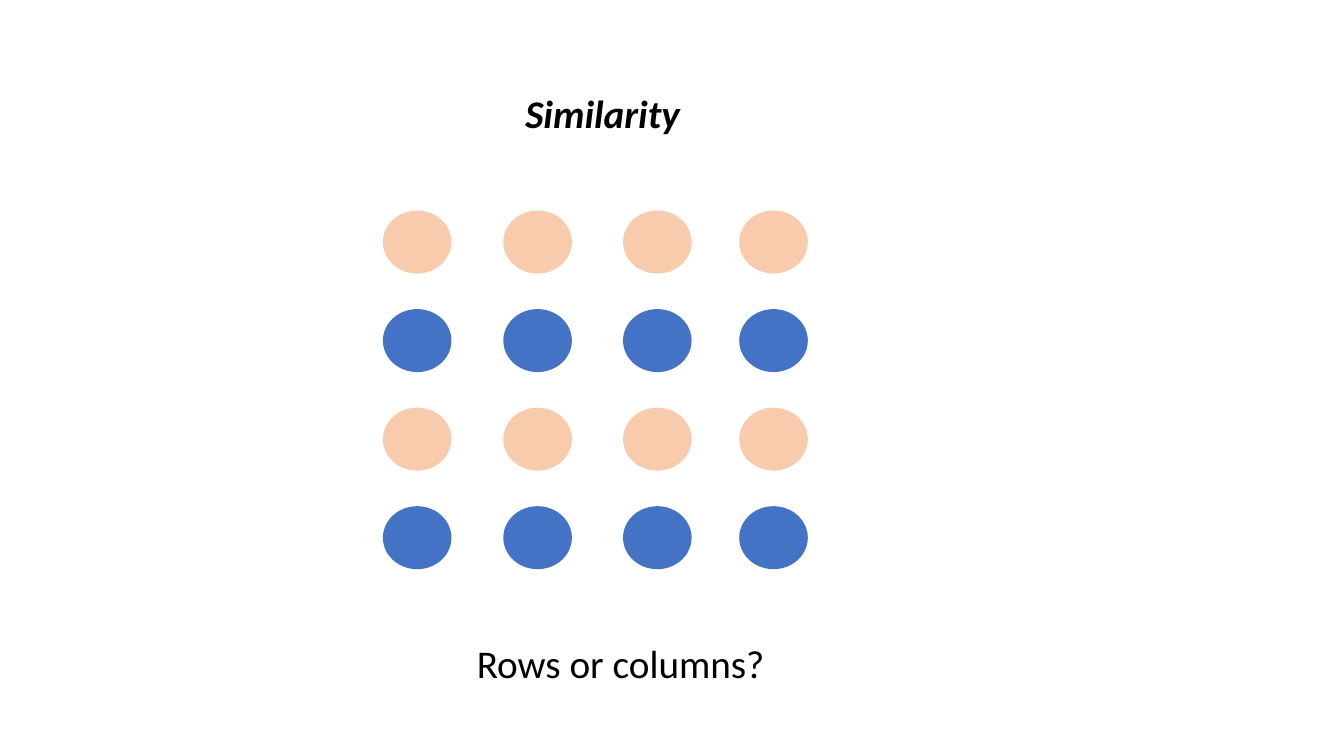
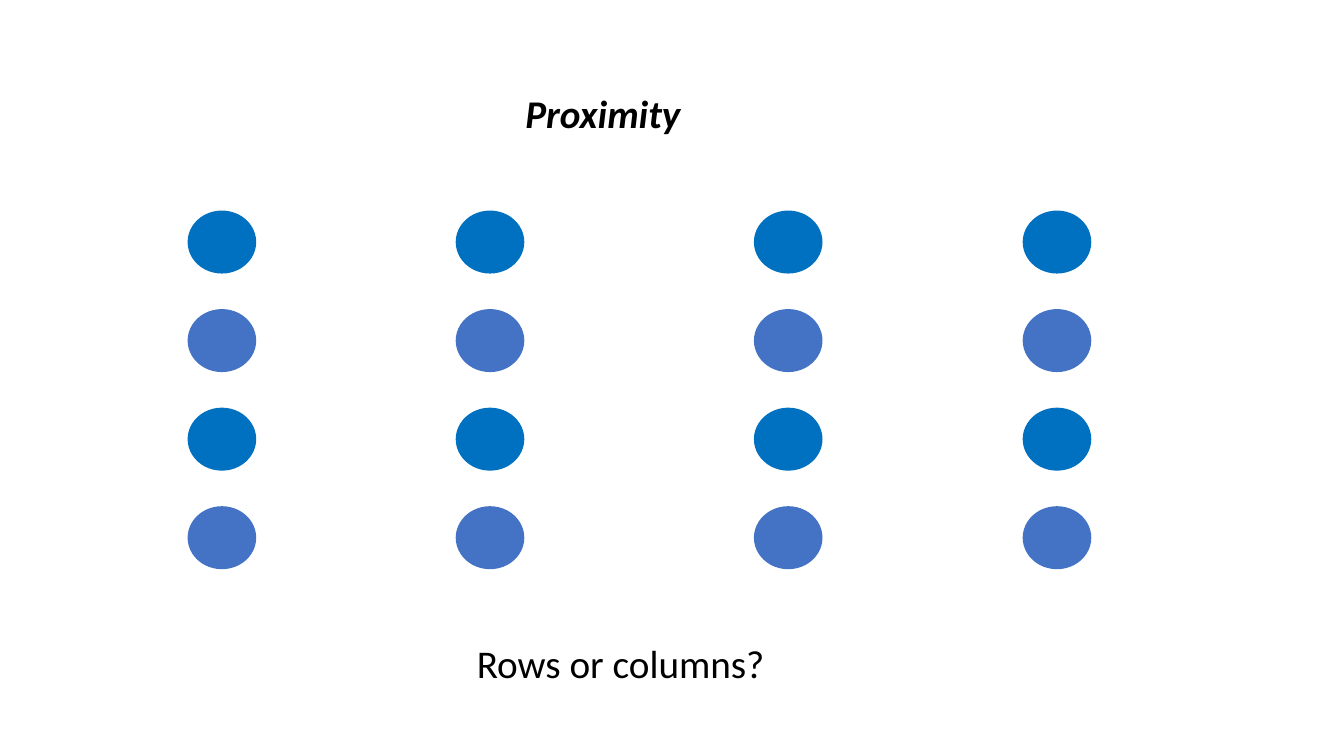
from pptx import Presentation
from pptx.dml.color import RGBColor as Rgb
from pptx.enum.shapes import MSO_SHAPE as Shape
from pptx.enum.text import MSO_ANCHOR as Anchor, MSO_AUTO_SIZE as Fit, PP_ALIGN as Align
from pptx.util import Pt

COLORS = {"ink": "000000", "peach": "F8CBAD", "blue": "4472C4", "azure": "0070C0"}


class Deck:
    font = "Calibri"
    size = 28
    dot_w, dot_h = 49, 45
    top, step, rows = 150.4, 70.4, 4

    def __init__(self):
        self.prs = Presentation()
        self.prs.slide_width, self.prs.slide_height = Pt(960), Pt(540)
        self.slide = None

    def add(self):
        self.slide = self.prs.slides.add_slide(self.prs.slide_layouts[5])

    def label(self, box, text, strong=False):
        frame = box.text_frame
        frame.word_wrap = False
        frame.auto_size = Fit.SHAPE_TO_FIT_TEXT
        frame.vertical_anchor = Anchor.TOP
        para = frame.paragraphs[0]
        para.alignment = Align.LEFT
        run = para.add_run()
        run.text = text
        font = run.font
        font.name, font.size = self.font, Pt(self.size)
        font.bold = font.italic = strong
        font.color.rgb = Rgb.from_string(COLORS["ink"])

    def title(self, text):
        box = self.slide.shapes.title
        box.left, box.top, box.width, box.height = Pt(368), Pt(60), Pt(126), Pt(41)
        self.label(box, text, strong=True)

    def caption(self, text):
        box = self.slide.shapes.add_textbox(Pt(333.5), Pt(453), Pt(222.5), Pt(41))
        self.label(box, text)

    def dot(self, left, top, color):
        dot = self.slide.shapes.add_shape(
            Shape.OVAL, Pt(left), Pt(top), Pt(self.dot_w), Pt(self.dot_h))
        dot.shadow.inherit = False
        dot.fill.solid()
        dot.fill.fore_color.rgb = Rgb.from_string(COLORS[color])
        dot.line.fill.background()

    def grid(self, lefts, colors):
        for left in lefts:
            for row in range(self.rows):
                color = colors[row % len(colors)]
                self.dot(left, self.top + row * self.step, color)


def main():
    deck = Deck()
    panels = [
        ("Similarity", (273.5, 359.5, 445, 528), ("peach", "blue")),
        ("Proximity", (134, 325.5, 538.5, 730.5), ("azure", "blue")),
    ]
    for title, lefts, colors in panels:
        deck.add()
        deck.title(title)
        deck.grid(lefts, colors)
        deck.caption("Rows or columns?")
    deck.prs.save("out.pptx")


if __name__ == "__main__":
    main()
